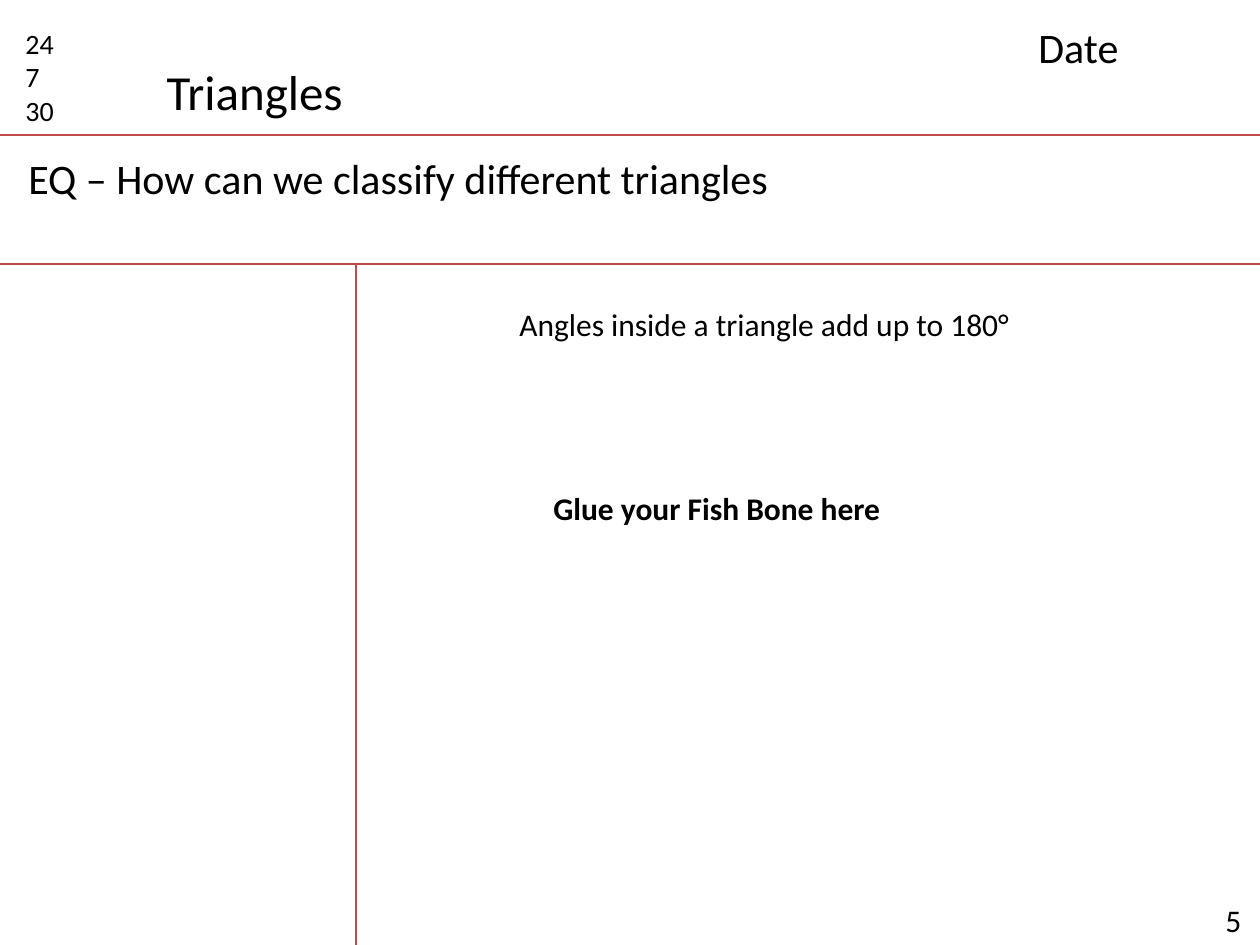
from lxml import etree
from pptx import Presentation
from pptx import util as u
from pptx.dml.color import RGBColor
from pptx.enum import shapes, text
from pptx.oxml.ns import qn

PX = 914400 // 126
WIDTH, HEIGHT = 1260, 945
RULE_COLOUR, INK = "BF4C48", "000000"


def colour(hex_string):
    return RGBColor.from_string(hex_string)


def write(box, words, size, bold=False, wrap=True):
    frame = box.text_frame
    frame.text = words
    frame.word_wrap = wrap
    frame.auto_size = text.MSO_AUTO_SIZE.SHAPE_TO_FIT_TEXT
    frame.vertical_anchor = text.MSO_ANCHOR.TOP
    for paragraph in frame.paragraphs:
        paragraph.alignment = text.PP_ALIGN.LEFT
        for run in paragraph.runs:
            run.font.name = "Calibri"
            run.font.size = u.Pt(size)
            run.font.bold = bold
            run.font.color.rgb = colour(INK)


prs = Presentation()
prs.slide_width, prs.slide_height = WIDTH * PX, HEIGHT * PX
slide = prs.slides.add_slide(prs.slide_layouts[5])
slide.background.fill.solid()
slide.background.fill.fore_color.rgb = colour("FFFFFF")

# Notebook rules: under the heading, under the question, and the left margin
heading_y, question_y, margin_x = 135, 264, 356
for x1, y1, x2, y2 in [
    (0, heading_y, WIDTH, heading_y),
    (0, question_y, WIDTH, question_y),
    (margin_x, question_y, margin_x, HEIGHT),
]:
    rule = slide.shapes.add_connector(
        shapes.MSO_CONNECTOR.STRAIGHT, x1 * PX, y1 * PX, x2 * PX, y2 * PX)
    rule.line.color.rgb = colour(RULE_COLOUR)
    rule.line.width = u.Pt(0.75)
    etree.SubElement(rule._element.spPr, qn("a:effectLst"))

# Title
title = slide.shapes.title
title.left, title.top, title.width, title.height = (
    n * PX for n in (154, 55, 203, 72))
write(title, "Triangles", 28, wrap=False)

# Notes around the page: left, top, width, height, words, size, bold, wrap
for left, top, width, height, words, size, bold, wrap in [
    (13, 20, 79, 115, "24\n7\n30", 16, False, True),
    (1026, 15, 218, 63, "Date", 24, False, True),
    (16, 146, 1188, 63, "EQ – How can we classify different triangles", 24, False, True),
    (507, 299, 522, 50, "Angles inside a triangle add up to 180°", 18, False, False),
    (541, 483, 355, 50, "Glue your Fish Bone here", 18, True, False),
    (1206, 895, 76, 50, " 5", 18, False, True),
]:
    note = slide.shapes.add_textbox(left * PX, top * PX, width * PX, height * PX)
    write(note, words, size, bold, wrap)

prs.save("out.pptx")
